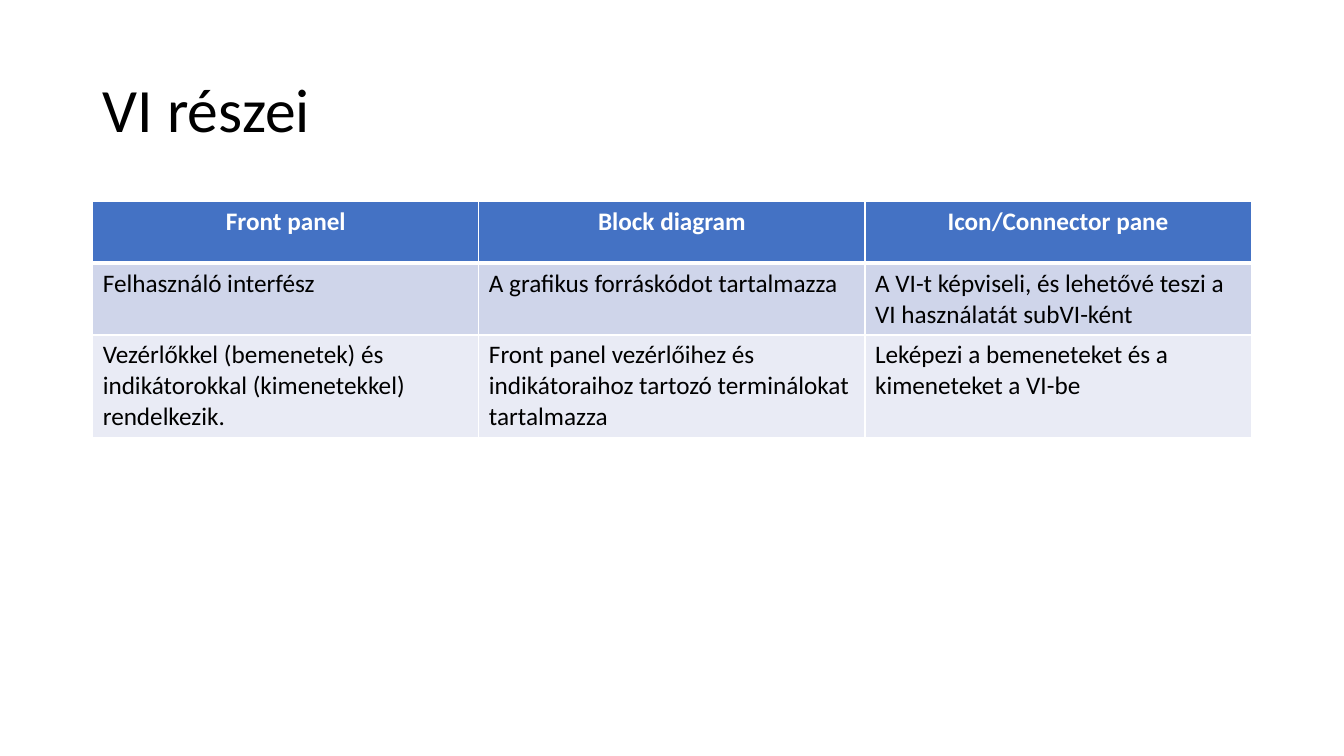
import dataclasses
import lxml.etree
import pptx
import pptx.dml.color
import pptx.enum.text
import pptx.oxml.ns
import pptx.util


@dataclasses.dataclass(frozen=True)
class Theme:
    font: str = "Calibri"
    head: str = "4472C4"
    bands: tuple = ("CFD5EA", "E9EBF5")
    dark: str = "000000"
    light: str = "FFFFFF"
    title: int = 44
    body: int = 18
    thin: int = 1
    thick: int = 3


THEME = Theme()
TITLE = "VI részei"
ROWS = [
    ("Front panel", "Block diagram", "Icon/Connector pane"),
    ("Felhasználó interfész",
     "A grafikus forráskódot tartalmazza",
     "A VI-t képviseli, és lehetővé teszi a VI használatát subVI-ként"),
    ("Vezérlőkkel (bemenetek) és indikátorokkal (kimenetekkel) rendelkezik.",
     "Front panel vezérlőihez és indikátoraihoz tartozó terminálokat tartalmazza",
     "Leképezi a bemeneteket és a kimeneteket a VI-be"),
]


def color(code):
    return pptx.dml.color.RGBColor.from_string(code)


def style(part, size, code, bold=False):
    for run in part.runs:
        run.font.name = THEME.font
        run.font.size = pptx.util.Pt(size)
        run.font.bold = bold
        run.font.color.rgb = color(code)


def border(cell, side, width):
    props = cell._tc.get_or_add_tcPr()
    tag = pptx.oxml.ns.qn
    line = lxml.etree.SubElement(
        props, tag(f"a:ln{side}"), w=str(pptx.util.Pt(width)))
    fill = lxml.etree.SubElement(line, tag("a:solidFill"))
    lxml.etree.SubElement(fill, tag("a:srgbClr"), val=THEME.light)


def add_title(slide, box):
    title = slide.shapes.title
    title.left, title.top, title.width, title.height = box
    frame = title.text_frame
    frame.text = TITLE
    frame.vertical_anchor = pptx.enum.text.MSO_ANCHOR.MIDDLE
    part = frame.paragraphs[0]
    part.alignment = pptx.enum.text.PP_ALIGN.LEFT
    part.line_spacing = 0.9
    style(part, THEME.title, THEME.dark)


def fill_cell(cell, text, row):
    head = row == 0
    for side in "LRTB":
        edge = (head and side == "B") or (row == 1 and side == "T")
        border(cell, side, THEME.thick if edge else THEME.thin)
    cell.fill.solid()
    cell.fill.fore_color.rgb = color(
        THEME.head if head else THEME.bands[(row - 1) % 2])
    cell.text_frame.text = text
    part = cell.text_frame.paragraphs[0]
    align = pptx.enum.text.PP_ALIGN
    part.alignment = align.CENTER if head else align.LEFT
    style(part, THEME.body, THEME.light if head else THEME.dark, head)


def add_grid(slide, box):
    table = slide.shapes.add_table(len(ROWS), len(ROWS[0]), *box).table
    for row, texts in enumerate(ROWS):
        for col, text in enumerate(texts):
            fill_cell(table.cell(row, col), text, row)


def main():
    deck = pptx.Presentation()
    deck.slide_width = pptx.util.Inches(13.33)
    deck.slide_height = pptx.util.Inches(7.5)
    slide = deck.slides.add_slide(deck.slide_layouts[5])
    wide, high = deck.slide_width, deck.slide_height
    left = int(wide * 0.069)
    span = wide - 2 * left
    add_title(slide, (left, int(high * 0.053), span, int(high * 0.193)))
    add_grid(slide, (left, int(high * 0.267), span, int(high * 0.244)))
    deck.save("out.pptx")


if __name__ == "__main__":
    main()
